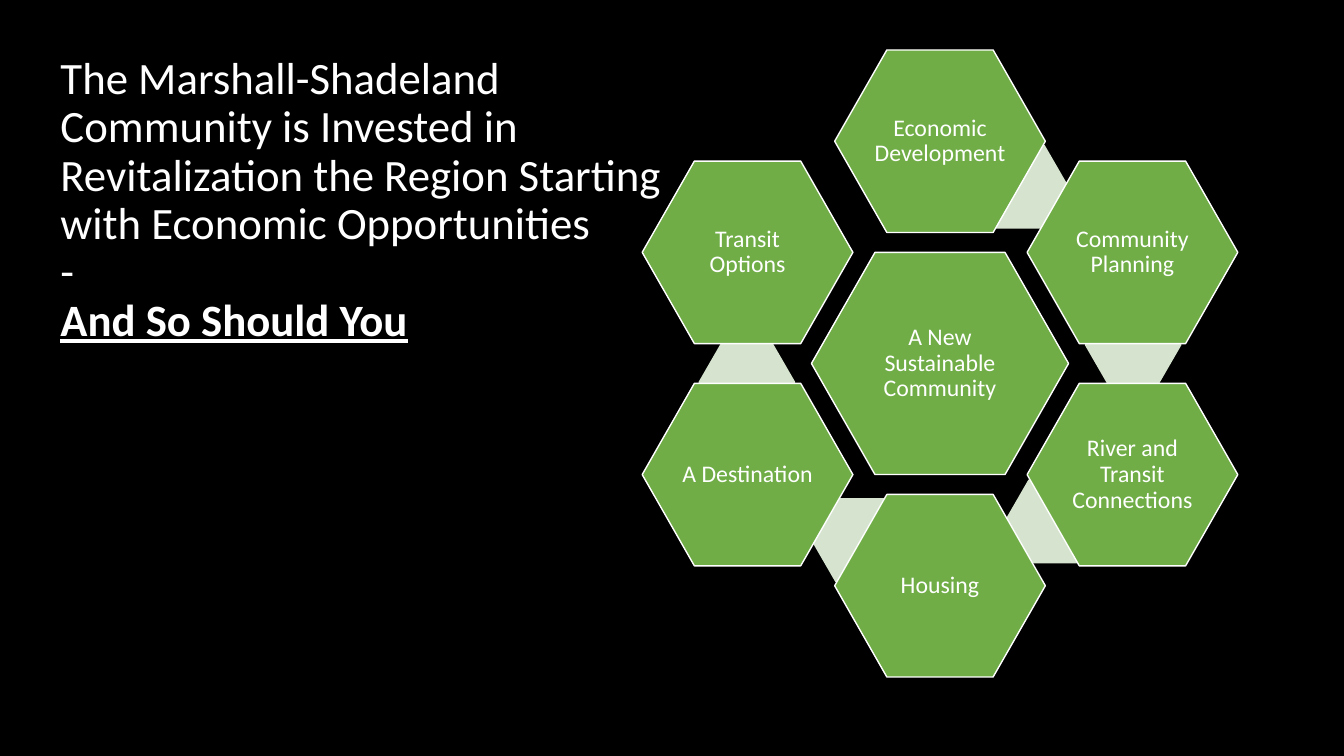
import math
from dataclasses import dataclass
from typing import Optional

import pptx
import pptx.dml.color
import pptx.enum.shapes
import pptx.enum.text
import pptx.util
from pptx.util import Cm


@dataclass(frozen=True)
class Theme:
    background: str = "000000"
    text: str = "FFFFFF"
    tile: str = "70AD47"
    link: str = "D5E3CF"
    font: str = "Calibri"
    title_size: int = 32
    tile_size: int = 17
    line_spacing: float = 0.9


@dataclass(frozen=True)
class Hexagon:
    """A hexagon placed by its centre; all lengths are in centimetres."""
    x: float
    y: float
    width: float
    height: float
    fill: str
    corner: float
    label: Optional[str] = None


THEME = Theme()
CENTRE_X, CENTRE_Y = 23.69, 9.16
GOAL = "A New Sustainable Community"
THEMES_AROUND_GOAL = (
    "Economic Development",
    "Community Planning",
    "River and Transit Connections",
    "Housing",
    "A Destination",
    "Transit Options",
)
TILE_RADIUS = 5.6
LINK_RADIUS = 4.89
LINK_TURN = 24.5  # degrees clockwise from the tile to its link


def rgb(value: str) -> pptx.dml.color.RGBColor:
    return pptx.dml.color.RGBColor.from_string(value)


def style_paragraph(paragraph, size: int, alignment) -> None:
    paragraph.alignment = alignment
    paragraph.line_spacing = THEME.line_spacing
    paragraph.font.name = THEME.font
    paragraph.font.size = pptx.util.Pt(size)
    paragraph.font.color.rgb = rgb(THEME.text)


def polar(radius: float, degrees: float) -> tuple[float, float]:
    """Return the point at this angle around the centre of the ring."""
    angle = math.radians(degrees)
    return CENTRE_X + radius * math.cos(angle), CENTRE_Y + radius * math.sin(angle)


def ring_hexagons() -> list[Hexagon]:
    """List the goal, then each tile preceded by the link that follows it."""
    hexagons = [Hexagon(CENTRE_X, CENTRE_Y, 6.48, 5.6, THEME.tile, 0.286, GOAL)]
    step = 360 / len(THEMES_AROUND_GOAL)
    for index, label in enumerate(THEMES_AROUND_GOAL):
        angle = -90 + index * step
        if label != THEMES_AROUND_GOAL[-1]:
            link_x, link_y = polar(LINK_RADIUS, angle + LINK_TURN)
            hexagons.append(Hexagon(link_x, link_y, 2.44, 2.11, THEME.link, 0.289))
        tile_x, tile_y = polar(TILE_RADIUS, angle)
        hexagons.append(Hexagon(tile_x, tile_y, 5.31, 4.6, THEME.tile, 0.286, label))
    return hexagons


def draw_hexagon(slide, hexagon: Hexagon) -> None:
    shape = slide.shapes.add_shape(
        pptx.enum.shapes.MSO_SHAPE.HEXAGON,
        Cm(hexagon.x - hexagon.width / 2),
        Cm(hexagon.y - hexagon.height / 2),
        Cm(hexagon.width),
        Cm(hexagon.height),
    )
    shape.adjustments[0] = hexagon.corner
    shape.shadow.inherit = False
    shape.fill.solid()
    shape.fill.fore_color.rgb = rgb(hexagon.fill)
    if hexagon.label is None:
        shape.line.fill.background()
        return
    shape.line.color.rgb = rgb(THEME.text)
    shape.line.width = pptx.util.Pt(1)
    frame = shape.text_frame
    frame.word_wrap = True
    frame.vertical_anchor = pptx.enum.text.MSO_ANCHOR.MIDDLE
    frame.margin_left = frame.margin_right = Cm(0.05)
    frame.margin_top = frame.margin_bottom = Cm(0.05)
    frame.text = hexagon.label
    style_paragraph(frame.paragraphs[0], THEME.tile_size, pptx.enum.text.PP_ALIGN.CENTER)


def fill_title(slide) -> None:
    title = slide.shapes.title
    title.left, title.top = Cm(1.27), Cm(1.27)
    title.width, title.height = Cm(15.93), Cm(14.71)
    frame = title.text_frame
    frame.word_wrap = True
    frame.auto_size = pptx.enum.text.MSO_AUTO_SIZE.NONE
    frame.vertical_anchor = pptx.enum.text.MSO_ANCHOR.TOP
    message = frame.paragraphs[0]
    message.text = (
        "The Marshall-Shadeland Community is Invested in Revitalization "
        "the Region Starting with Economic Opportunities\v-\v"
    )
    appeal = message.add_run()
    appeal.text = "And So Should You"
    appeal.font.bold = True
    appeal.font.underline = True
    style_paragraph(message, THEME.title_size, pptx.enum.text.PP_ALIGN.LEFT)


def main() -> None:
    presentation = pptx.Presentation()
    presentation.slide_width, presentation.slide_height = Cm(33.87), Cm(19.05)
    slide = presentation.slides.add_slide(
        presentation.slide_layouts.get_by_name("Title Only")
    )
    slide.background.fill.solid()
    slide.background.fill.fore_color.rgb = rgb(THEME.background)
    fill_title(slide)
    for hexagon in ring_hexagons():
        draw_hexagon(slide, hexagon)
    presentation.save("out.pptx")


if __name__ == "__main__":
    main()
